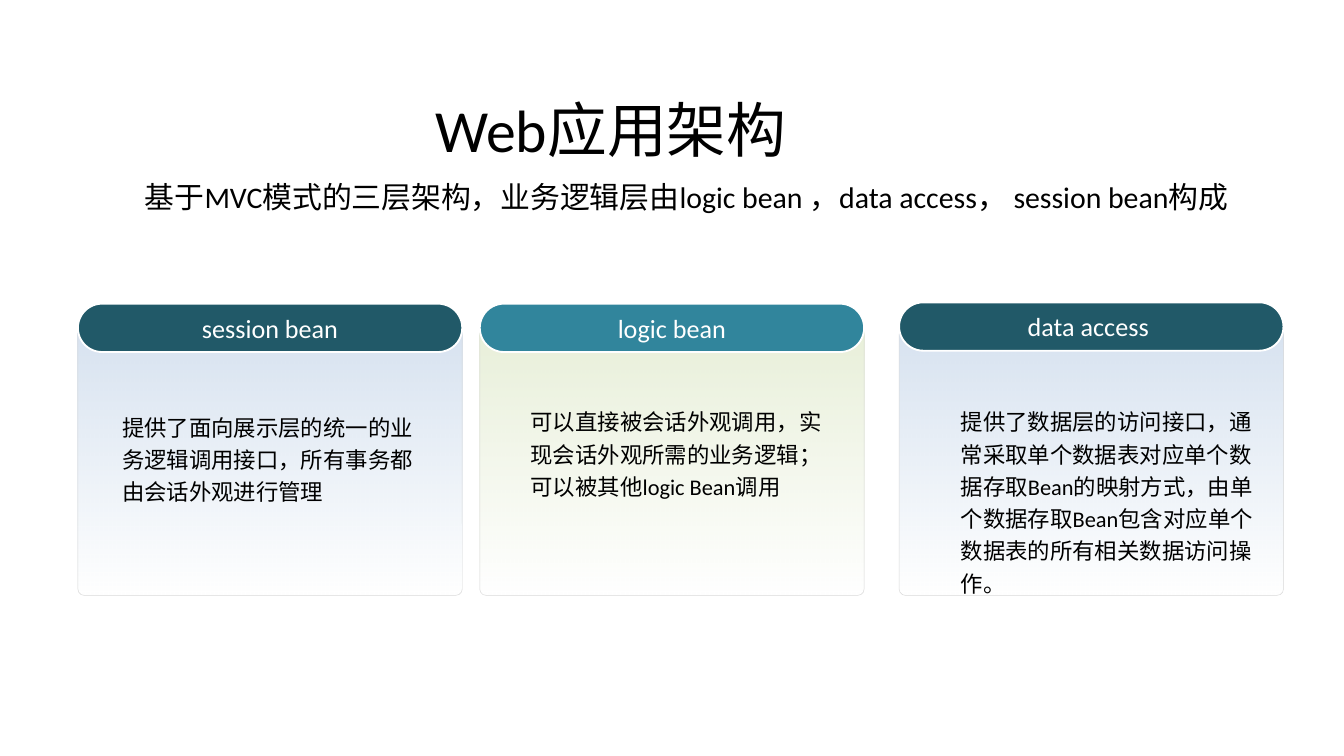
from dataclasses import dataclass

from lxml.etree import SubElement
from pptx import Presentation
from pptx.dml.color import RGBColor
from pptx.enum.shapes import MSO_SHAPE
from pptx.enum.text import MSO_ANCHOR, PP_ALIGN
from pptx.oxml.ns import qn
from pptx.util import Inches, Pt


@dataclass(frozen=True)
class Theme:
    font: str = "Calibri"
    ink: str = "000000"
    white: str = "FFFFFF"
    border: str = "D9D9D9"
    navy: str = "215968"
    teal: str = "31859C"
    blue: str = "4F81BD"
    green: str = "9BBB59"
    title_size: int = 32
    subtitle_size: int = 16
    header_size: int = 14
    body_size: int = 12


THEME = Theme()
CARD_WIDTH, CARD_HEIGHT = 2.86, 1.99
HEADER_HEIGHT = 0.36
BODY_WIDTH, BODY_HEIGHT = 2.4, 1.62

CARDS = [
    {
        "box": (0.58, 2.44), "header_rise": 0.18, "body_offset": (0.23, 0.37),
        "tint": THEME.blue, "header_color": THEME.navy, "name": "session bean",
        "description": "提供了面向展示层的统一的业务逻辑调用接口，所有事务都由会话外观进行管理",
    },
    {
        "box": (3.57, 2.44), "header_rise": 0.18, "body_offset": (0.28, 0.33),
        "tint": THEME.green, "header_color": THEME.teal, "name": "logic bean",
        "description": "可以直接被会话外观调用，实现会话外观所需的业务逻辑；可以被其他logic Bean调用",
    },
    {
        "box": (6.69, 2.44), "header_rise": 0.19, "body_offset": (0.36, 0.33),
        "tint": THEME.blue, "header_color": THEME.navy, "name": "data access ",
        "description": "提供了数据层的访问接口，通常采取单个数据表对应单个数据存取Bean的映射方式，"
                       "由单个数据存取Bean包含对应单个数据表的所有相关数据访问操作。",
    },
]


def write(shape, text, size, color, wrap=True):
    frame = shape.text_frame
    frame.text = text
    frame.word_wrap = wrap
    paragraph = frame.paragraphs[0]
    font = paragraph.runs[0].font
    font.name = THEME.font
    font.size = Pt(size)
    font.color.rgb = RGBColor.from_string(color)
    return paragraph


def add_text(shapes, box, text, size, wrap=True):
    label = shapes.add_textbox(*map(Inches, box))
    return label, write(label, text, size, THEME.ink, wrap)


def add_rounded(shapes, box, rounding, line_color, line_width):
    panel = shapes.add_shape(MSO_SHAPE.ROUNDED_RECTANGLE, *map(Inches, box))
    panel.adjustments[0] = rounding
    panel.shadow.inherit = False
    panel.line.color.rgb = RGBColor.from_string(line_color)
    panel.line.width = Pt(line_width)
    return panel


def fade_down(panel, tint):
    panel.fill.gradient()
    panel.fill.gradient_angle = 270
    for stop, position, opacity in zip(panel.fill.gradient_stops, (0, 1), (23, 0)):
        stop.position = position
        stop.color.rgb = RGBColor.from_string(tint)
        color = panel.element.spPr.findall(f".//{qn('a:gs')}/{qn('a:srgbClr')}")[-1]
        SubElement(color, qn("a:alpha")).set("val", str(opacity * 1000))


def add_heading(slide, left, top):
    add_text(slide.shapes, (left + 2.16, top, 6.25, 0.64), "Web应用架构", THEME.title_size)
    add_text(slide.shapes, (left, top + 0.64, 9.99, 0.7),
             "基于MVC模式的三层架构，业务逻辑层由logic bean ，data access， session bean构成",
             THEME.subtitle_size, wrap=False)


def add_card(slide, box, header_rise, body_offset, tint, header_color, name, description):
    left, top = box
    shapes = slide.shapes.add_group_shape().shapes

    panel = add_rounded(shapes, (left, top, CARD_WIDTH, CARD_HEIGHT), 0.024, THEME.border, 0.25)
    fade_down(panel, tint)

    header = add_rounded(shapes, (left, top - header_rise, CARD_WIDTH, HEADER_HEIGHT),
                         0.5, THEME.white, 1)
    header.fill.solid()
    header.fill.fore_color.rgb = RGBColor.from_string(header_color)
    header.text_frame.vertical_anchor = MSO_ANCHOR.MIDDLE
    write(header, name, THEME.header_size, THEME.white, wrap=False).alignment = PP_ALIGN.CENTER

    body_box = (left + body_offset[0], top + body_offset[1], BODY_WIDTH, BODY_HEIGHT)
    body, paragraph = add_text(shapes, body_box, description, THEME.body_size)
    body.text_frame.margin_top = Inches(0.23)
    paragraph.line_spacing = 1.2


def main():
    presentation = Presentation()
    presentation.slide_width = Inches(10)
    presentation.slide_height = Inches(10) * 9 // 16
    slide = presentation.slides.add_slide(presentation.slide_layouts[6])
    add_heading(slide, 0.98, 0.64)
    for card in CARDS:
        add_card(slide, **card)
    presentation.save("out.pptx")


if __name__ == "__main__":
    main()
